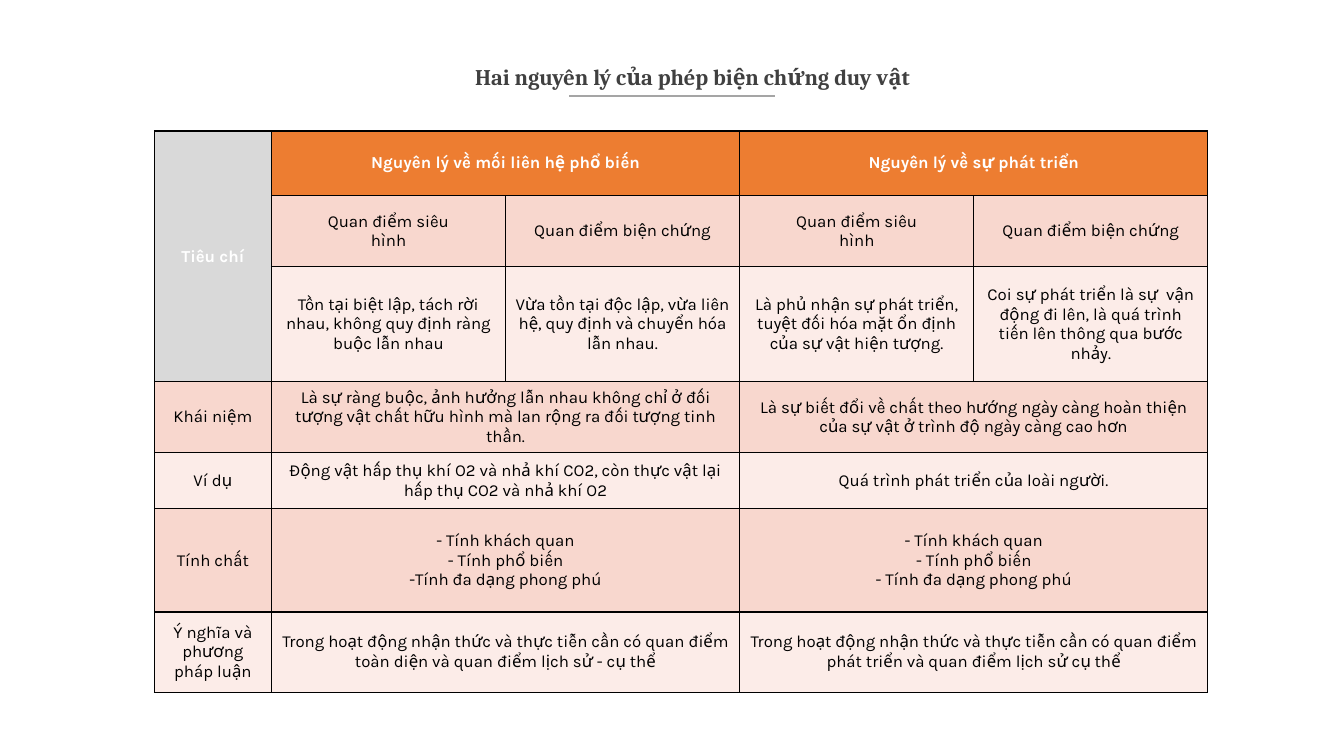
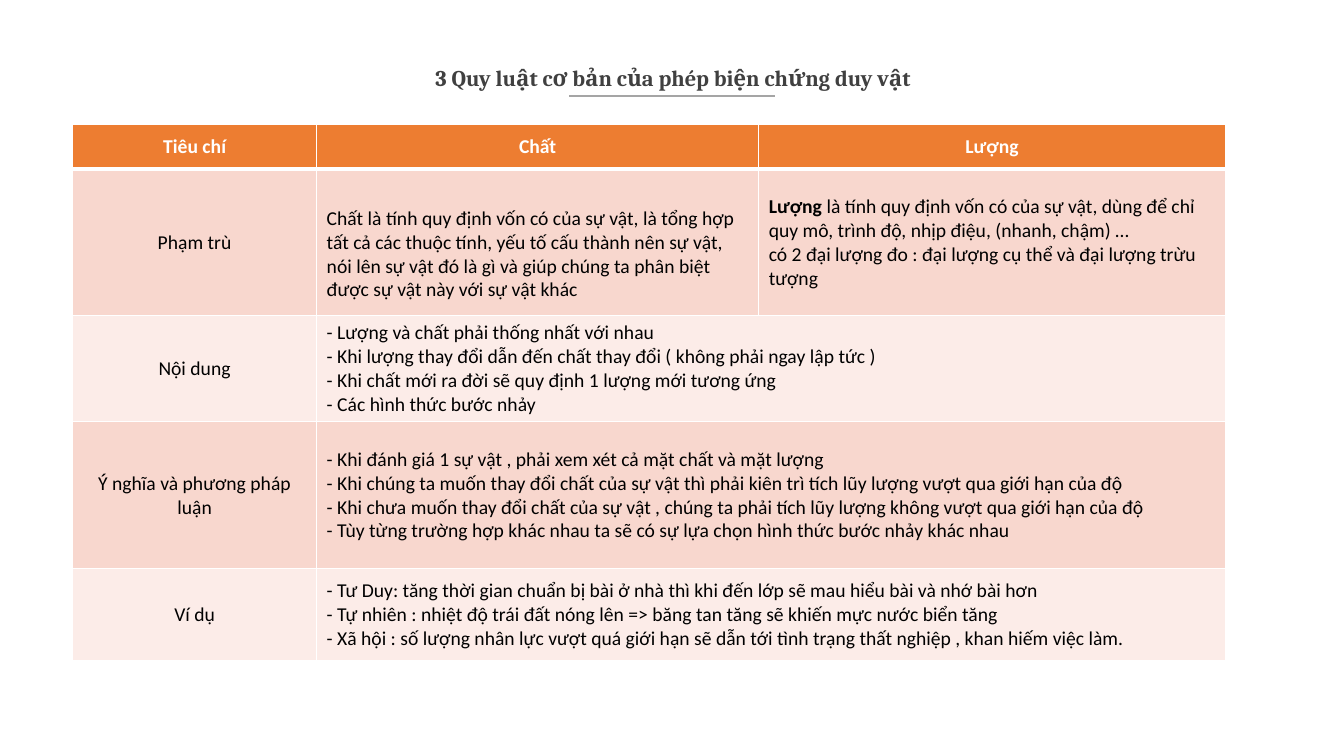
from dataclasses import dataclass

from lxml import etree
from pptx import Presentation
from pptx.dml.color import RGBColor
from pptx.enum import shapes, text
from pptx.oxml import ns
from pptx.util import Cm, Pt

# Shared colours
WHITE = RGBColor(0xFF, 0xFF, 0xFF)
BLACK = RGBColor(0x00, 0x00, 0x00)
DARK = RGBColor(0x40, 0x40, 0x40)
RULE = RGBColor(0xA5, 0xA5, 0xA5)
GREY = RGBColor(0xD9, 0xD9, 0xD9)
ORANGE = RGBColor(0xED, 0x7D, 0x31)
PEACH = RGBColor(0xF8, 0xD7, 0xCE)
PALE = RGBColor(0xFC, 0xEC, 0xE8)

MIDDLE = text.MSO_ANCHOR.MIDDLE
CENTER, LEFT = text.PP_ALIGN.CENTER, text.PP_ALIGN.LEFT


@dataclass
class Cell:
    words: str
    col: int = 0
    wide: int = 1
    high: int = 1
    lead: str = ""  # bold opening words
    top: float = 0.13  # top margin in cm


@dataclass
class Grid:
    left: float
    top: float
    cols: list[float]
    rows: list[float]
    cells: list[list[Cell]]
    face: str
    size: int
    border: RGBColor
    corner: RGBColor = ORANGE
    body: text.PP_ALIGN = CENTER
    head: int = 1  # width in points of the line below the header


@dataclass
class Page:
    title: str
    left: float
    top: float
    grid: Grid


def add_run(para, words: str, face: str, size: int, color: RGBColor, bold: bool) -> None:
    run = para.add_run()
    run.text = words
    font = run.font
    font.name, font.size, font.bold = face, Pt(size), bold
    font.color.rgb = color


def add_title(slide, page: Page) -> None:
    # Thin rule below the title
    rule = slide.shapes.add_connector(
        shapes.MSO_CONNECTOR.STRAIGHT, Cm(19.53), Cm(2.42), Cm(14.35), Cm(2.42))
    rule.line.color.rgb = RULE
    rule.line.width = Pt(1)
    etree.SubElement(rule.element.spPr, ns.qn("a:effectLst"))
    # Title text
    box = slide.shapes.add_textbox(Cm(page.left), Cm(page.top), Cm(29.67), Cm(1.2))
    frame = box.text_frame
    frame.word_wrap = True
    frame.vertical_anchor = MIDDLE
    frame.margin_left = frame.margin_right = 0
    frame.margin_top = frame.margin_bottom = Cm(0.28)
    para = frame.paragraphs[0]
    para.alignment = CENTER
    add_run(para, page.title, "Cambria", 16, DARK, True)


def add_edges(cell, color: RGBColor, top: int, base: int) -> None:
    props = cell._tc.get_or_add_tcPr()
    for side, width in (("L", 1), ("R", 1), ("T", top), ("B", base)):
        edge = etree.SubElement(props, ns.qn(f"a:ln{side}"), w=str(Pt(width)))
        fill = etree.SubElement(edge, ns.qn("a:solidFill"))
        etree.SubElement(fill, ns.qn("a:srgbClr"), val=str(color))


def fill_cell(table, row: int, item: Cell, grid: Grid) -> None:
    cell = table.cell(row, item.col)
    if item.wide * item.high > 1:
        cell.merge(table.cell(row + item.high - 1, item.col + item.wide - 1))
    cell.vertical_anchor = MIDDLE
    cell.margin_top = Cm(item.top)
    frame = cell.text_frame
    for i, line in enumerate(item.words.split("\n")):
        para = frame.add_paragraph() if i else frame.paragraphs[0]
        para.alignment = grid.body if row and item.col else CENTER
        if item.lead and not i:
            add_run(para, item.lead, grid.face, grid.size, BLACK, True)
        add_run(para, line, grid.face, grid.size, BLACK if row else WHITE, not row)


def add_grid(slide, grid: Grid) -> None:
    table = slide.shapes.add_table(
        len(grid.rows), len(grid.cols), Cm(grid.left), Cm(grid.top),
        Cm(sum(grid.cols)), Cm(sum(grid.rows))).table
    table.first_row = table.horz_banding = False
    for col, width in zip(table.columns, grid.cols):
        col.width = Cm(width)
    # Borders and alternating fills
    for r, height in enumerate(grid.rows):
        table.rows[r].height = Cm(height)
        for c in range(len(grid.cols)):
            cell = table.cell(r, c)
            add_edges(cell, grid.border, grid.head if r == 1 else 1, 1 if r else grid.head)
            cell.fill.solid()
            band = PEACH if r % 2 else PALE
            cell.fill.fore_color.rgb = band if r else ORANGE
    table.cell(0, 0).fill.fore_color.rgb = grid.corner
    # Text
    for r, line in enumerate(grid.cells):
        for item in line:
            fill_cell(table, r, item, grid)


def pair(name: str, first: str, second: str) -> list[Cell]:
    return [Cell(name), Cell(first, 1, 2), Cell(second, 3, 2)]


def four(*words: str) -> list[Cell]:
    return [Cell(word, i) for i, word in enumerate(words, 1)]


VIEWS = ("Quan điểm siêu\nhình", "Quan điểm biện chứng")

PAGES = [
    Page("Hai nguyên lý của phép biện chứng duy vật", 2.62, 1.32, Grid(
        3.89, 3.3, [2.95] + [5.9] * 4, [1.63, 1.79, 2.9, 1.75, 1.42, 2.6, 2.02], [
            [Cell("Tiêu chí", high=3),
             Cell("Nguyên lý về mối liên hệ phổ biến", 1, 2),
             Cell("Nguyên lý về sự phát triển", 3, 2)],
            four(*VIEWS * 2),
            four("Tồn tại biệt lập, tách rời nhau, không quy định ràng buộc lẫn nhau",
                 "Vừa tồn tại độc lập, vừa liên hệ, quy định và chuyển hóa lẫn nhau.",
                 "Là phủ nhận sự phát triển, tuyệt đối hóa mặt ổn định của sự vật hiện tượng.",
                 "Coi sự phát triển là sự  vận động đi lên, là quá trình tiến lên "
                 "thông qua bước nhảy."),
            pair("Khái niệm",
                 "Là sự ràng buộc, ảnh hưởng lẫn nhau không chỉ ở đối tượng vật chất "
                 "hữu hình mà lan rộng ra đối tượng tinh thần.",
                 "Là sự biết đổi về chất theo hướng ngày càng hoàn thiện của sự vật "
                 "ở trình độ ngày càng cao hơn"),
            pair("Ví dụ",
                 "Động vật hấp thụ khí O2 và nhả khí CO2, còn thực vật lại hấp thụ CO2 "
                 "và nhả khí O2",
                 "Quá trình phát triển của loài người."),
            pair("Tính chất",
                 "- Tính khách quan\n- Tính phổ biến\n-Tính đa dạng phong phú",
                 "- Tính khách quan\n- Tính phổ biến\n- Tính đa dạng phong phú"),
            pair("Ý nghĩa và phương pháp luận",
                 "Trong hoạt động nhận thức và thực tiễn cần có quan điểm toàn diện "
                 "và quan điểm lịch sử - cụ thể",
                 "Trong hoạt động nhận thức và thực tiễn cần có quan điểm phát triển "
                 "và quan điểm lịch sử cụ thể"),
        ], "Karla", 12, BLACK, corner=GREY)),
    Page("3 Quy luật cơ bản của phép biện chứng duy vật", 2.13, 1.35, Grid(
        1.83, 3.14, [6.15, 11.14, 11.76], [1.12, 3.7, 2.67, 3.7, 2.31], [
            [Cell("Tiêu chí"), Cell("Chất", 1), Cell("Lượng", 2)],
            [Cell("Phạm trù"),
             Cell("Chất là tính quy định vốn có của sự vật, là tổng hợp tất cả các thuộc "
                  "tính, yếu tố cấu thành nên sự vật, nói lên sự vật đó là gì và giúp "
                  "chúng ta phân biệt được sự vật này với sự vật khác", 1, top=0.73),
             Cell("là tính quy định vốn có của sự vật, dùng để chỉ quy mô, trình độ, "
                  "nhịp điệu, (nhanh, chậm) …\n"
                  "có 2 đại lượng đo : đại lượng cụ thể và đại lượng trừu tượng",
                  2, lead="Lượng ")],
            [Cell("Nội dung"),
             Cell("- Lượng và chất phải thống nhất với nhau\n"
                  "- Khi lượng thay đổi dẫn đến chất thay đổi ( không phải ngay lập tức )\n"
                  "- Khi chất mới ra đời sẽ quy định 1 lượng mới tương ứng\n"
                  "- Các hình thức bước nhảy", 1, 2)],
            [Cell("Ý nghĩa và phương pháp luận"),
             Cell("- Khi đánh giá 1 sự vật , phải xem xét cả mặt chất và mặt lượng\n"
                  "- Khi chúng ta muốn thay đổi chất của sự vật thì phải kiên trì tích lũy "
                  "lượng vượt qua giới hạn của độ\n"
                  "- Khi chưa muốn thay đổi chất của sự vật , chúng ta phải tích lũy lượng "
                  "không vượt qua giới hạn của độ\n"
                  "- Tùy từng trường hợp khác nhau ta sẽ có sự lựa chọn hình thức bước "
                  "nhảy khác nhau", 1, 2)],
            [Cell("Ví dụ"),
             Cell("- Tư Duy: tăng thời gian chuẩn bị bài ở nhà thì khi đến lớp sẽ mau hiểu "
                  "bài và nhớ bài hơn\n"
                  "- Tự nhiên : nhiệt độ trái đất nóng lên => băng tan tăng sẽ khiến mực "
                  "nước biển tăng\n"
                  "- Xã hội : số lượng nhân lực vượt quá giới hạn sẽ dẫn tới tình trạng "
                  "thất nghiệp , khan hiếm việc làm.", 1, 2)],
        ], "Calibri", 14, WHITE, body=LEFT, head=3)),
]


def main() -> None:
    deck = Presentation()
    deck.slide_width, deck.slide_height = Cm(33.87), Cm(19.05)
    for page in PAGES:
        slide = deck.slides.add_slide(deck.slide_layouts[6])
        add_title(slide, page)
        add_grid(slide, page.grid)
    deck.save("out.pptx")


if __name__ == "__main__":
    main()
